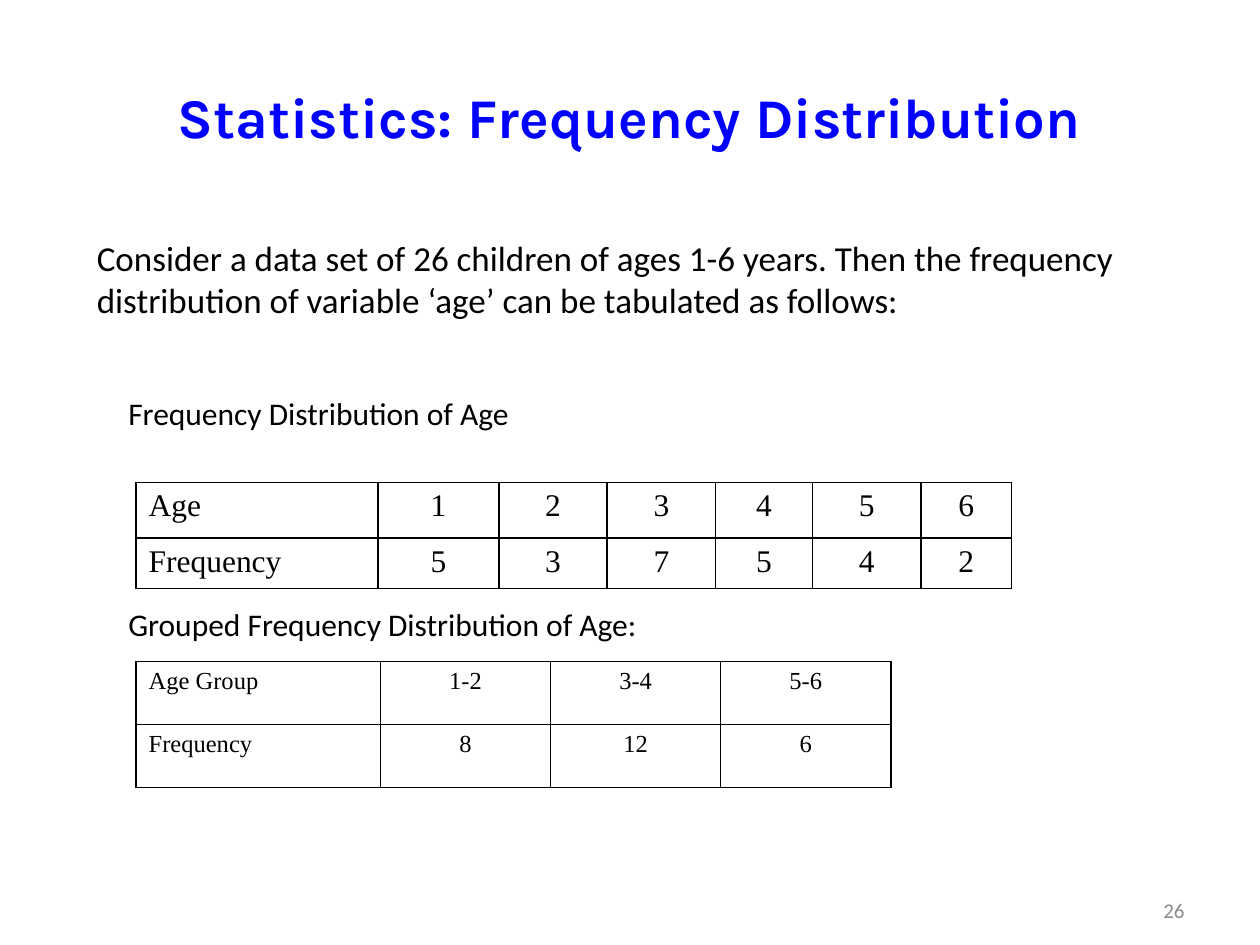
from lxml import etree
from pptx import Presentation
from pptx.dml.color import RGBColor
from pptx.enum import text
from pptx.oxml.ns import qn
from pptx.util import Inches, Pt

THEME = {
    "heading": "Karla", "body": "Calibri", "table": "Times New Roman",
    "blue": "0000FF", "black": "000000", "gray": "8C8C8C",
    "title": 32, "intro": 20, "label": 18, "small": 14, "number": 12,
    "border": 1,
}
LEFT, CENTER, RIGHT = text.PP_ALIGN.LEFT, text.PP_ALIGN.CENTER, text.PP_ALIGN.RIGHT
TOP, MIDDLE = text.MSO_ANCHOR.TOP, text.MSO_ANCHOR.MIDDLE

# Content: text, box (left, top, width, height), format
TEXTS = [
    ("Statistics: Frequency Distribution", (0.5, 0.3, 9, 1.25),
     dict(font="heading", size="title", color="blue", bold=True, align=CENTER, anchor=MIDDLE)),
    ("Consider a data set of 26 children of ages 1-6 years. Then the frequency "
     "distribution of variable ‘age’ can be tabulated as follows:",
     (0.67, 1.83, 9.33, 1.1), dict(size="intro")),
    ("Frequency Distribution of Age", (0.92, 3.08, 4.17, 0.4), {}),
    ("Grouped Frequency Distribution of Age:", (0.92, 4.75, 8.25, 0.4), {}),
    ("26", (7.17, 7.02, 2.33, 0.4),
     dict(size="number", color="gray", align=RIGHT, anchor=MIDDLE)),
]
TABLES = [
    dict(position=(1.08, 3.83), size="label", row_heights=[0.44, 0.38],
         column_widths=[1.92, 0.96, 0.86, 0.86, 0.77, 0.86, 0.72],
         rows=[["Age", 1, 2, 3, 4, 5, 6], ["Frequency", 5, 3, 7, 5, 4, 2]]),
    dict(position=(1.08, 5.25), size="small", row_heights=[0.5, 0.5],
         column_widths=[1.94, 1.35, 1.35, 1.35],
         rows=[["Age Group", "1-2", "3-4", "5-6"], ["Frequency", 8, 12, 6]]),
]


def write_text(frame, content, font="body", size="label", color="black",
               bold=False, align=LEFT, anchor=TOP):
    frame.word_wrap = True
    frame.vertical_anchor = anchor
    paragraph = frame.paragraphs[0]
    paragraph.alignment = align
    run = paragraph.add_run()
    run.text = str(content)
    run.font.name = THEME[font]
    run.font.size = Pt(THEME[size])
    run.font.bold = bold
    run.font.color.rgb = RGBColor.from_string(THEME[color])


def add_borders(cell):
    properties = cell._tc.get_or_add_tcPr()
    for index, side in enumerate(("lnL", "lnR", "lnT", "lnB")):
        line = etree.Element(qn(f"a:{side}"), w=str(Pt(THEME["border"])))
        fill = etree.SubElement(line, qn("a:solidFill"))
        etree.SubElement(fill, qn("a:srgbClr"), val=THEME["black"])
        properties.insert(index, line)


def add_frequency_table(slide, position, size, row_heights, column_widths, rows):
    lengths = (*position, sum(column_widths), sum(row_heights))
    table = slide.shapes.add_table(len(rows), len(column_widths), *map(Inches, lengths)).table
    table.first_row = table.horz_banding = False
    for column, width in zip(table.columns, column_widths):
        column.width = Inches(width)
    for row, height, values in zip(table.rows, row_heights, rows):
        row.height = Inches(height)
        for index, (cell, value) in enumerate(zip(row.cells, values)):
            cell.fill.background()
            add_borders(cell)
            write_text(cell.text_frame, value, font="table", size=size,
                       align=CENTER if index else LEFT)


def main():
    presentation = Presentation()
    presentation.slide_width, presentation.slide_height = Inches(10), Inches(7.5)
    slide = presentation.slides.add_slide(presentation.slide_layouts[6])

    # Title, introduction, table labels and slide number
    for content, box, style in TEXTS:
        shape = slide.shapes.add_textbox(*map(Inches, box))
        write_text(shape.text_frame, content, **style)

    # Frequency tables
    for table in TABLES:
        add_frequency_table(slide, **table)

    presentation.save("out.pptx")


if __name__ == "__main__":
    main()
